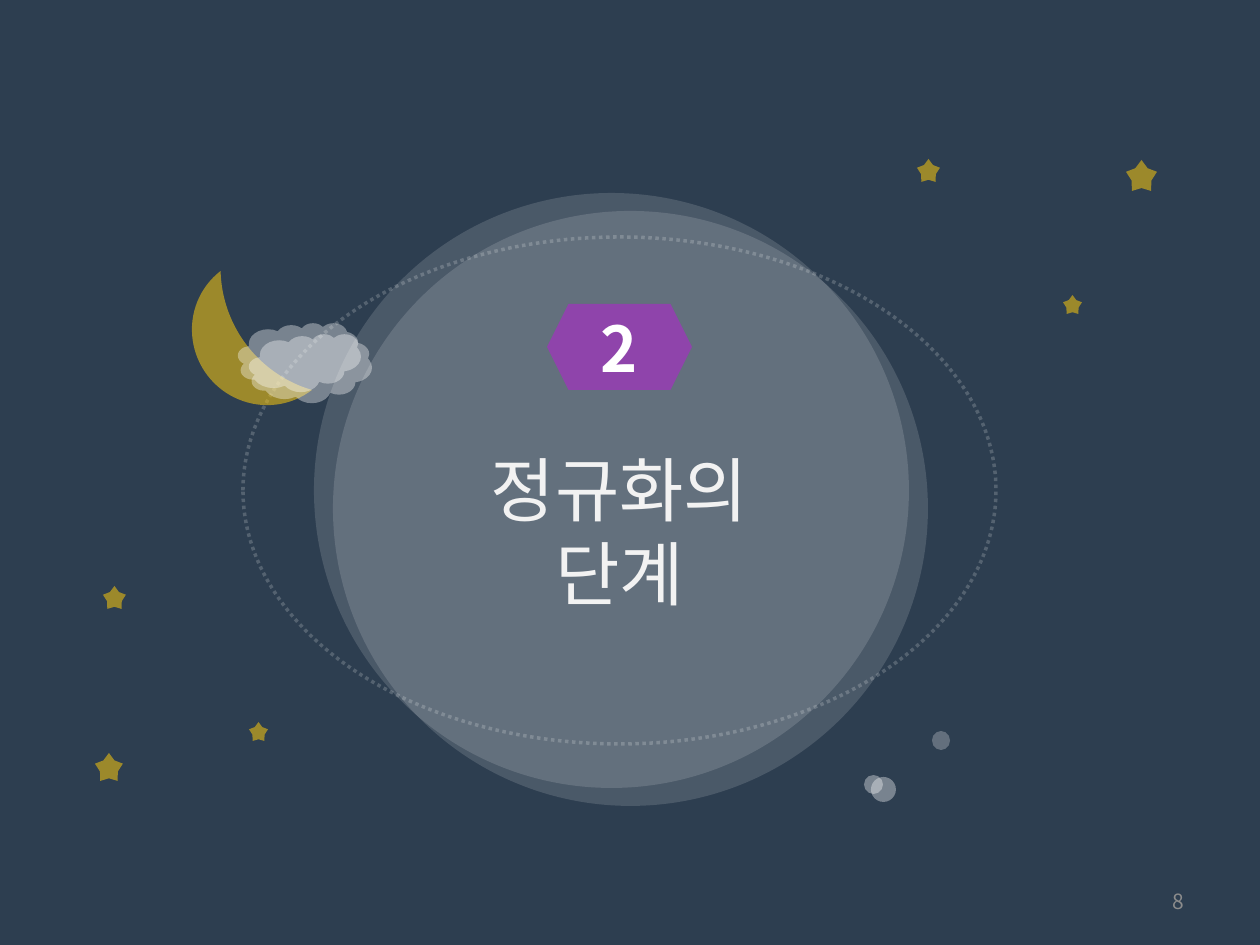
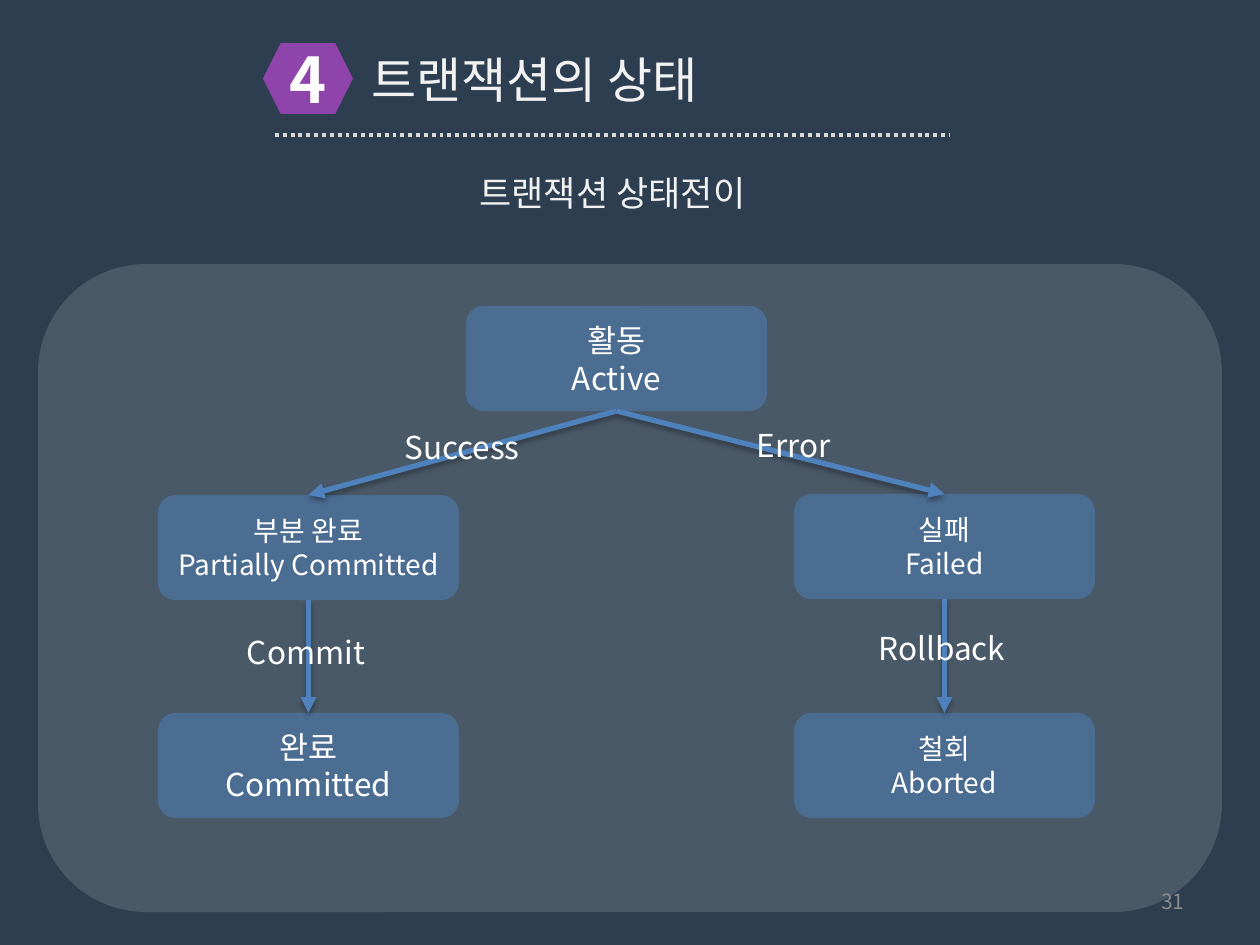
from lxml.etree import SubElement
from pptx import Presentation
from pptx.dml.color import RGBColor
from pptx.enum.dml import MSO_LINE
from pptx.enum.shapes import MSO_CONNECTOR, MSO_SHAPE
from pptx.enum.text import MSO_ANCHOR, PP_ALIGN
from pptx.oxml.ns import qn
from pptx.util import Emu, Pt

PX = 914400 / 126
FONT = "Noto Sans CJK KR"
NIGHT, PURPLE, GOLD, BLUE = "2D3E50", "8F44AB", "F3C40F", "4F81BD"
WHITE, PALE, SILVER, GREY = "FFFFFF", "F2F2F2", "D9D9D9", "8C8C8C"
TOP, BOTTOM = 0, 2
NODE_SIZE = 301, 105


def px(*lengths):
    return [Emu(round(length * PX)) for length in lengths]


def color(hex_string):
    return RGBColor.from_string(hex_string)


def set_alpha(parent, percent):
    tint = parent.find(f"{qn('a:solidFill')}/{qn('a:srgbClr')}")
    SubElement(tint, qn("a:alpha"), val=str(percent * 1000))


def write(shape, text, size=18, hue=WHITE, bold=False,
          align=PP_ALIGN.CENTER, anchor=MSO_ANCHOR.TOP, wrap=True):
    frame = shape.text_frame
    frame.word_wrap = wrap
    frame.vertical_anchor = anchor
    for index, line in enumerate(text.split("\n")):
        paragraph = frame.add_paragraph() if index else frame.paragraphs[0]
        paragraph.alignment = align
        run = paragraph.add_run()
        run.text = line
        run.font.name, run.font.size, run.font.bold = FONT, Pt(size), bold
        run.font.color.rgb = color(hue)
        SubElement(run.font._element, qn("a:ea"), typeface=FONT)


def add_label(slide, box, text, **style):
    write(slide.shapes.add_textbox(*px(*box)), text, **style)


def add_figure(slide, preset, box, fill, alpha=100, adjust=None):
    figure = slide.shapes.add_shape(preset, *px(*box))
    figure.shadow.inherit = False
    figure.line.fill.background()
    figure.fill.solid()
    figure.fill.fore_color.rgb = color(fill)
    if alpha < 100:
        set_alpha(figure.element.spPr, alpha)
    if adjust is not None:
        figure.adjustments[0] = adjust
    return figure


def style_line(line, hue, width, dotted=False):
    line.color.rgb = color(hue)
    line.width = Pt(width)
    if dotted:
        line.dash_style = MSO_LINE.ROUND_DOT


def add_line(slide, start, end, hue, width, dotted=False):
    line = slide.shapes.add_connector(MSO_CONNECTOR.STRAIGHT, *px(*start, *end))
    style_line(line.line, hue, width, dotted)
    effects = SubElement(line.element.spPr, qn("a:effectLst"))
    return line, effects


def add_transition(slide, source, target):
    arrow, effects = add_line(slide, (0, 0), (0, 0), BLUE, 3)
    arrow.begin_connect(source, BOTTOM)
    arrow.end_connect(target, TOP)
    SubElement(arrow.line._get_or_add_ln(), qn("a:tailEnd"), type="triangle")
    shadow = SubElement(effects, qn("a:outerShdw"), blurRad=str(Pt(3.1)),
                        dist=str(Pt(1.8)), dir="5400000", rotWithShape="0")
    black = SubElement(shadow, qn("a:srgbClr"), val="000000")
    SubElement(black, qn("a:alpha"), val="35000")


def add_badge(slide, box, number):
    badge = add_figure(slide, MSO_SHAPE.HEXAGON, box, PURPLE)
    write(badge, number, size=36, bold=True, anchor=MSO_ANCHOR.MIDDLE, wrap=False)


def add_state(slide, left, top, text, size):
    state = add_figure(slide, MSO_SHAPE.ROUNDED_RECTANGLE,
                       (left, top, *NODE_SIZE), BLUE, 50)
    write(state, text, size=size, anchor=MSO_ANCHOR.MIDDLE)
    return state


def add_slide(deck):
    slide = deck.slides.add_slide(deck.slide_layouts[6])
    slide.background.fill.solid()
    slide.background.fill.fore_color.rgb = color(NIGHT)
    return slide


def add_page_number(slide, number):
    add_label(slide, (903, 876, 294, 50), number, size=12, hue=GREY,
              align=PP_ALIGN.RIGHT, anchor=MSO_ANCHOR.MIDDLE)


def build_section(deck):
    slide = add_slide(deck)

    # Dotted orbit and planet
    orbit = slide.shapes.add_shape(MSO_SHAPE.OVAL, *px(243, 237, 753, 507))
    orbit.shadow.inherit = False
    orbit.fill.background()
    style_line(orbit.line, WHITE, 2, dotted=True)
    set_alpha(orbit.element.spPr.find(qn("a:ln")), 19)
    for left, top in ((333, 211), (314, 193)):
        add_figure(slide, MSO_SHAPE.OVAL, (left, top, 595, 595), WHITE, 14)

    # Section title
    add_label(slide, (375, 440, 489, 183), "정규화의\n단계", size=40, hue=PALE)
    add_badge(slide, (547, 304, 145, 86), "2")

    # Night sky
    for left, top, size in ((95, 753, 28), (249, 722, 19), (103, 586, 23),
                            (1126, 160, 31), (1063, 295, 19), (917, 159, 23)):
        add_figure(slide, MSO_SHAPE.STAR_5_POINT, (left, top, size, size),
                   GOLD, 56, adjust=0.32)
    for *box, alpha in ((864, 775, 19, 19, 36), (871, 777, 25, 25, 36),
                        (932, 731, 18, 19, 26)):
        add_figure(slide, MSO_SHAPE.OVAL, box, WHITE, alpha)
    moon = add_figure(slide, MSO_SHAPE.MOON, (200, 278, 74, 150), GOLD, 56, adjust=0.67)
    moon.rotation = 322.5
    for left, top in ((238, 323), (249, 334)):
        add_figure(slide, MSO_SHAPE.CLOUD, (left, top, 123, 69), WHITE, 36)

    add_page_number(slide, "8")


def build_transaction_states(deck):
    slide = add_slide(deck)

    # Heading
    add_badge(slide, (263, 43, 90, 71), "4")
    add_label(slide, (359, 43, 665, 72), "트랜잭션의 상태", size=28, hue=PALE,
              align=PP_ALIGN.LEFT)
    add_line(slide, (275, 135), (950, 135), SILVER, 2.25, dotted=True)
    add_label(slide, (280, 165, 665, 55), "트랜잭션 상태전이", size=20, hue=PALE)

    # States
    add_figure(slide, MSO_SHAPE.ROUNDED_RECTANGLE, (38, 264, 1184, 648), WHITE, 14)
    left, middle, right = 158, 466, 794
    first, second, third = 306, 495, 713
    partial = add_state(slide, left, second, "부분 완료\nPartially Committed", 16)
    committed = add_state(slide, left, third, "완료\nCommitted", 18)
    active = add_state(slide, middle, first, "활동\nActive", 18)
    failed = add_state(slide, right, second - 1, "실패\nFailed", 16)
    aborted = add_state(slide, right, third, "철회\nAborted", 16)

    # Transitions
    for source, target in ((active, partial), (active, failed),
                           (partial, committed), (failed, aborted)):
        add_transition(slide, source, target)
    for label_left, label_top, event in ((213, 627, "Commit"), (849, 623, "Rollback"),
                                         (369, 422, "Success"), (701, 420, "Error")):
        add_label(slide, (label_left, label_top, 186, 50), event)

    add_page_number(slide, "31")


def main():
    deck = Presentation()
    deck.slide_width, deck.slide_height = px(1260, 945)
    build_section(deck)
    build_transaction_states(deck)
    deck.save("out.pptx")


if __name__ == "__main__":
    main()
